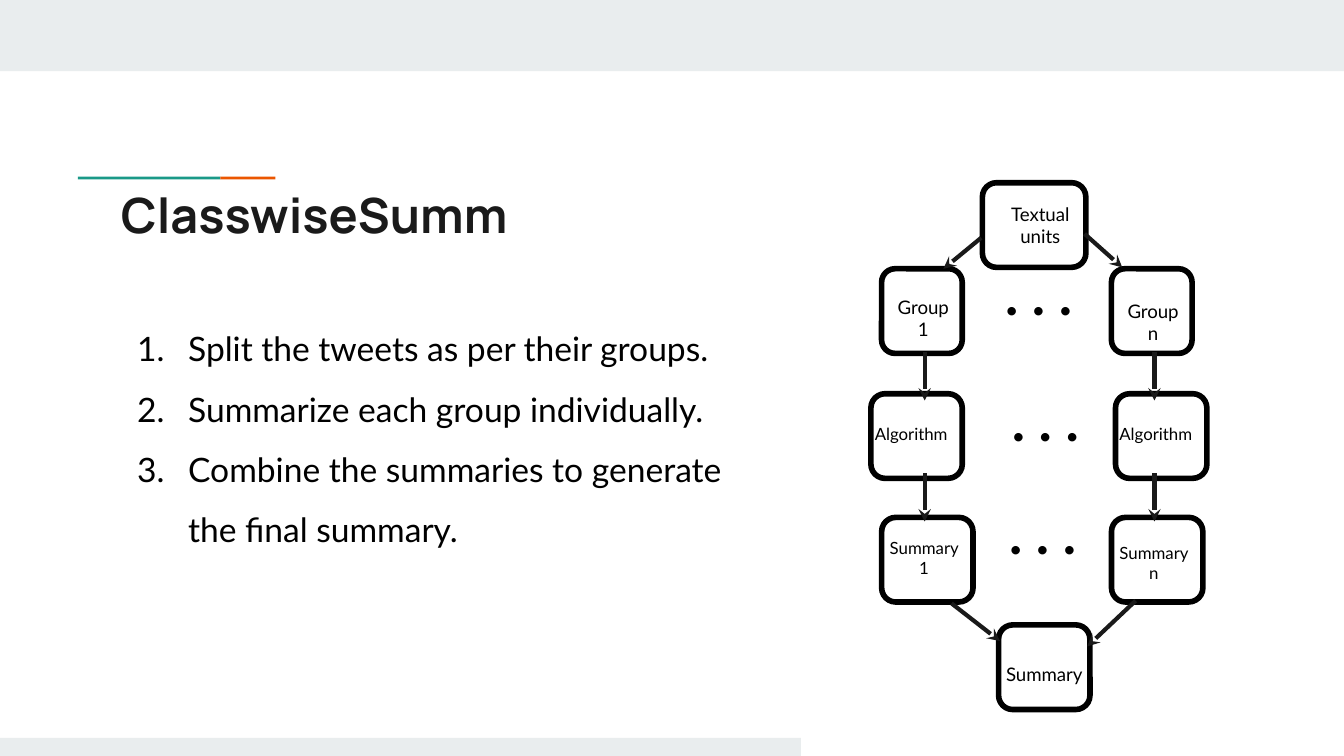
from lxml import etree
from pptx import Presentation
from pptx.dml.color import RGBColor
from pptx.enum.shapes import MSO_CONNECTOR, MSO_SHAPE
from pptx.enum.text import MSO_ANCHOR, MSO_AUTO_SIZE, PP_ALIGN
from pptx.oxml.ns import qn
from pptx.util import Inches, Pt

RECT = MSO_SHAPE.RECTANGLE
ROUND = MSO_SHAPE.ROUNDED_RECTANGLE
LINE = MSO_CONNECTOR.STRAIGHT
TOP = MSO_ANCHOR.TOP
FIXED = MSO_AUTO_SIZE.NONE
LEFT, MID = PP_ALIGN.LEFT, PP_ALIGN.CENTER

WIDE, HIGH = 10, 5.625
BLACK, INK, PALE, TEAL, FLAME = "000000", "1A1A1A", "E9EDEE", "1A9988", "EB5600"

TITLE = "ClasswiseSumm"
STEPS = [
    "Split the tweets as per their groups.",
    "Summarize each group individually.",
    "Combine the summaries to generate the final summary.",
]
BANDS = [
    (0, 0, WIDE, 0.53, PALE),
    (0, 5.49, 5.96, HIGH - 5.49, PALE),
    (0.58, 1.315, 1.06, 0.02, TEAL),
    (1.64, 1.315, 0.41, 0.02, FLAME),
]
ROWS = [1.36, 2, 2.93, 3.85, 4.65]
TALL = 0.63
NODES = [
    ("Textual units", 10, 0, 7.31, 0.77, (7.4, 0.05, 0.68)),
    ("Group 1", 10, 1, 6.56, 0.6, (6.57, 0.1, 0.6)),
    ("Group n", 10, 1, 8.27, 0.6, (8.28, 0.13, 0.6)),
    ("Algorithm", 9, 2, 6.48, 0.68, (6.35, 0.12, 0.86)),
    ("Algorithm", 9, 2, 8.3, 0.68, (8.17, 0.12, 0.86)),
    ("Summary 1", 9, 3, 6.56, 0.68, (6.49, 0.05, 0.77)),
    ("Summary n", 9, 3, 8.27, 0.68, (8.2, 0.09, 0.77)),
    ("Summary", 10, 4, 7.43, 0.68, (7.28, 0.18, 0.98)),
]
DOTS = [(7.38, 1.83), (7.43, 2.77), (7.41, 3.61)]
SLANTS = [
    (7.3, 1.77, 7.02, 2),
    (8.07, 1.74, 8.35, 1.99),
    (7.08, 4.49, 7.44, 4.77),
    (8.45, 4.47, 8.09, 4.81),
]
DROPS = [(x, y, x, y + 0.36) for x in (6.88, 8.59) for y in (2.62, 3.52)]


def paint(hue):
    return RGBColor.from_string(hue)


def place(part, *box):
    part.left, part.top, part.width, part.height = map(Inches, box)


def write(para, text, size, face="Lato", hue=BLACK, bold=False, align=LEFT):
    para.alignment = align
    run = para.add_run()
    run.text = text
    font = run.font
    font.size, font.name, font.bold = Pt(size), face, bold
    font.color.rgb = paint(hue)


def setup(frame):
    frame.word_wrap = True
    frame.auto_size = FIXED
    frame.vertical_anchor = TOP
    frame.margin_left = frame.margin_right = Inches(0.1)
    frame.margin_top = frame.margin_bottom = Inches(0.1)


def label(slide, box, text, size, **style):
    frame = slide.shapes.add_textbox(*map(Inches, box)).text_frame
    setup(frame)
    write(frame.paragraphs[0], text, size, **style)


def shape(slide, kind, *box):
    part = slide.shapes.add_shape(kind, *map(Inches, box))
    part.shadow.inherit = False
    return part


def band(slide, x, y, w, h, hue):
    part = shape(slide, RECT, x, y, w, h)
    part.fill.solid()
    part.fill.fore_color.rgb = paint(hue)
    part.line.fill.background()


def node(slide, text, size, row, x, w, spot):
    y = ROWS[row]
    part = shape(slide, ROUND, x, y, w, TALL)
    part.adjustments[0] = 0.167
    part.fill.background()
    part.line.color.rgb = paint(BLACK)
    part.line.width = Pt(3)
    left, drop, wide = spot
    label(slide, (left, y + drop, wide, 0.43), text, size, align=MID)


def arrow(slide, *ends):
    link = slide.shapes.add_connector(LINE, *map(Inches, ends))
    link.line.color.rgb = paint(INK)
    link.line.width = Pt(2.25)
    etree.SubElement(link.line._get_or_add_ln(), qn("a:tailEnd"), type="stealth")
    etree.SubElement(link._element.spPr, qn("a:effectLst"))


def number(para):
    props = para._p.get_or_add_pPr()
    props.set("marL", str(Inches(0.5)))
    props.set("indent", str(Inches(-0.38)))
    tint = etree.SubElement(props, qn("a:buClr"))
    etree.SubElement(tint, qn("a:srgbClr"), val=BLACK)
    etree.SubElement(props, qn("a:buFont"), typeface="Lato")
    etree.SubElement(props, qn("a:buAutoNum"), type="arabicPeriod")
    para.line_spacing = 1.5
    para.space_before = Pt(0)


def main():
    deck = Presentation()
    deck.slide_width, deck.slide_height = Inches(WIDE), Inches(HIGH)
    slide = deck.slides.add_slide(deck.slide_layouts[1])
    title, body = slide.placeholders
    for item in BANDS:
        band(slide, *item)

    place(title, 0.8, 1.28, 8.41, 0.59)
    setup(title.text_frame)
    write(title.text_frame.paragraphs[0], TITLE, 26, "Manrope", INK, True)

    place(body, 0.8, 2.19, 4.84, 2.47)
    frame = body.text_frame
    setup(frame)
    for i, step in enumerate(STEPS):
        para = frame.add_paragraph() if i else frame.paragraphs[0]
        number(para)
        write(para, step, 18)

    for item in NODES:
        node(slide, *item)
    for x, y in DOTS:
        label(slide, (x, y, 0.85, 0.31), ". . .", 30, bold=True)
    for ends in SLANTS + DROPS:
        arrow(slide, *ends)
    deck.save("out.pptx")


if __name__ == "__main__":
    main()
